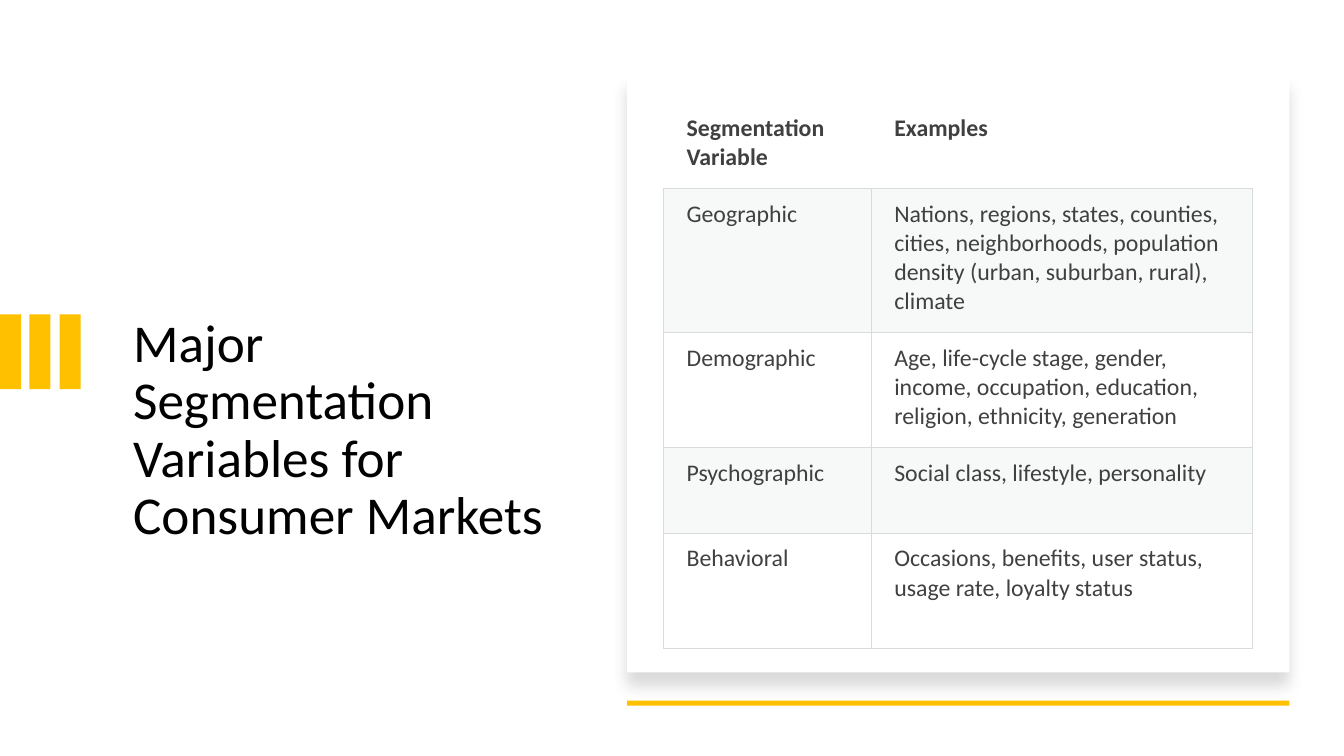
from dataclasses import dataclass

from lxml import etree
from pptx import Presentation
from pptx.dml.color import RGBColor
from pptx.enum.shapes import MSO_SHAPE
from pptx.enum.text import MSO_ANCHOR, MSO_AUTO_SIZE, PP_ALIGN
from pptx.oxml.ns import qn
from pptx.util import Emu, Pt

RECT = MSO_SHAPE.RECTANGLE
TOP = MSO_ANCHOR.TOP
LEFT = PP_ALIGN.LEFT
FIXED = MSO_AUTO_SIZE.NONE
SCALE = 9144


@dataclass(frozen=True)
class Theme:
    font: str = "Calibri"
    title: int = 38
    body: int = 17
    black: str = "000000"
    white: str = "FFFFFF"
    ink: str = "404040"
    gold: str = "FFC000"
    band: str = "D8DEDC"
    rule: str = "D8DCDC"


@dataclass(frozen=True)
class Box:
    left: int
    top: int
    width: int
    height: int

    def emu(self) -> list[Emu]:
        return [px(n) for n in (self.left, self.top, self.width, self.height)]


@dataclass(frozen=True)
class Row:
    height: int
    label: str
    detail: str


THEME = Theme()
COLS = (206, 378)
ROWS = (
    Row(85, "Segmentation Variable", "Examples"),
    Row(143, "Geographic",
        "Nations, regions, states, counties, cities, neighborhoods, "
        "population density (urban, suburban, rural), climate"),
    Row(114, "Demographic",
        "Age, life-cycle stage, gender, income, occupation, education, "
        "religion, ethnicity, generation"),
    Row(85, "Psychographic", "Social class, lifestyle, personality"),
    Row(114, "Behavioral",
        "Occasions, benefits, user status, usage rate, loyalty status"),
)


def px(n: int) -> Emu:
    return Emu(n * SCALE)


def add_run(para, text: str, size: int, color: str, bold: bool = False) -> None:
    run = para.add_run()
    run.text = text
    font = run.font
    font.name, font.size, font.bold = THEME.font, Pt(size), bold
    font.color.rgb = RGBColor.from_string(color)


def add_rect(shapes, box: Box, color: str):
    shape = shapes.add_shape(RECT, *box.emu())
    shape.shadow.inherit = False
    shape.fill.solid()
    shape.fill.fore_color.rgb = RGBColor.from_string(color)
    shape.line.fill.background()
    return shape


def add_tint(node, color: str, alpha: int) -> None:
    tint = etree.SubElement(node, qn("a:srgbClr"), val=color)
    etree.SubElement(tint, qn("a:alpha"), val=str(alpha * 1000))


def add_shade(shape) -> None:
    effect = shape._element.spPr.find(qn("a:effectLst"))
    shade = etree.SubElement(
        effect, qn("a:outerShdw"), blurRad=str(Pt(11)), dist=str(Pt(10)),
        dir="5400000", algn="t", rotWithShape="0")
    add_tint(shade, THEME.black, 15)


def style_cell(cell, head: bool, band: bool) -> None:
    props = cell._tc.get_or_add_tcPr()
    for side in "LRTB":
        line = etree.SubElement(props, qn(f"a:ln{side}"), w=str(Pt(0.75)))
        if head and side != "B":
            etree.SubElement(line, qn("a:noFill"))
        else:
            fill = etree.SubElement(line, qn("a:solidFill"))
            etree.SubElement(fill, qn("a:srgbClr"), val=THEME.rule)
    if band:
        add_tint(etree.SubElement(props, qn("a:solidFill")), THEME.band, 20)
    else:
        etree.SubElement(props, qn("a:noFill"))


def add_grid(shapes, box: Box) -> None:
    grid = shapes.add_table(len(ROWS), len(COLS), *box.emu()).table
    grid.horz_banding = False
    for col, width in zip(grid.columns, COLS):
        col.width = px(width)
    for r, row in enumerate(ROWS):
        grid.rows[r].height = px(row.height)
        for c, text in enumerate((row.label, row.detail)):
            cell = grid.cell(r, c)
            cell.margin_left = px(23)
            cell.margin_top = cell.margin_right = cell.margin_bottom = px(11)
            cell.vertical_anchor = TOP
            add_run(cell.text_frame.paragraphs[0], text, THEME.body,
                    THEME.ink, r == 0)
            style_cell(cell, r == 0, r % 2 == 1)


def set_title(title, box: Box, text: str) -> None:
    title.left, title.top, title.width, title.height = box.emu()
    frame = title.text_frame
    frame.word_wrap = True
    frame.auto_size = FIXED
    frame.vertical_anchor = TOP
    para = frame.paragraphs[0]
    para.alignment = LEFT
    para.line_spacing = 0.9
    add_run(para, text, THEME.title, THEME.black)


def main() -> None:
    deck = Presentation()
    deck.slide_width, deck.slide_height = px(1333), px(750)
    slide = deck.slides.add_slide(deck.slide_layouts[5])
    shapes = slide.shapes
    set_title(shapes.title, Box(122, 309, 441, 261),
              "Major Segmentation Variables for Consumer Markets")
    bars = shapes.add_group_shape().shapes
    for i in range(3):
        add_rect(bars, Box(i * 59 // 2, 312, 21, 74), THEME.gold)
    add_shade(add_rect(shapes, Box(622, 74, 657, 593), THEME.white))
    add_rect(shapes, Box(622, 695, 657, 5), THEME.gold)
    add_grid(shapes, Box(658, 102, sum(COLS), sum(row.height for row in ROWS)))
    deck.save("out.pptx")


if __name__ == "__main__":
    main()
